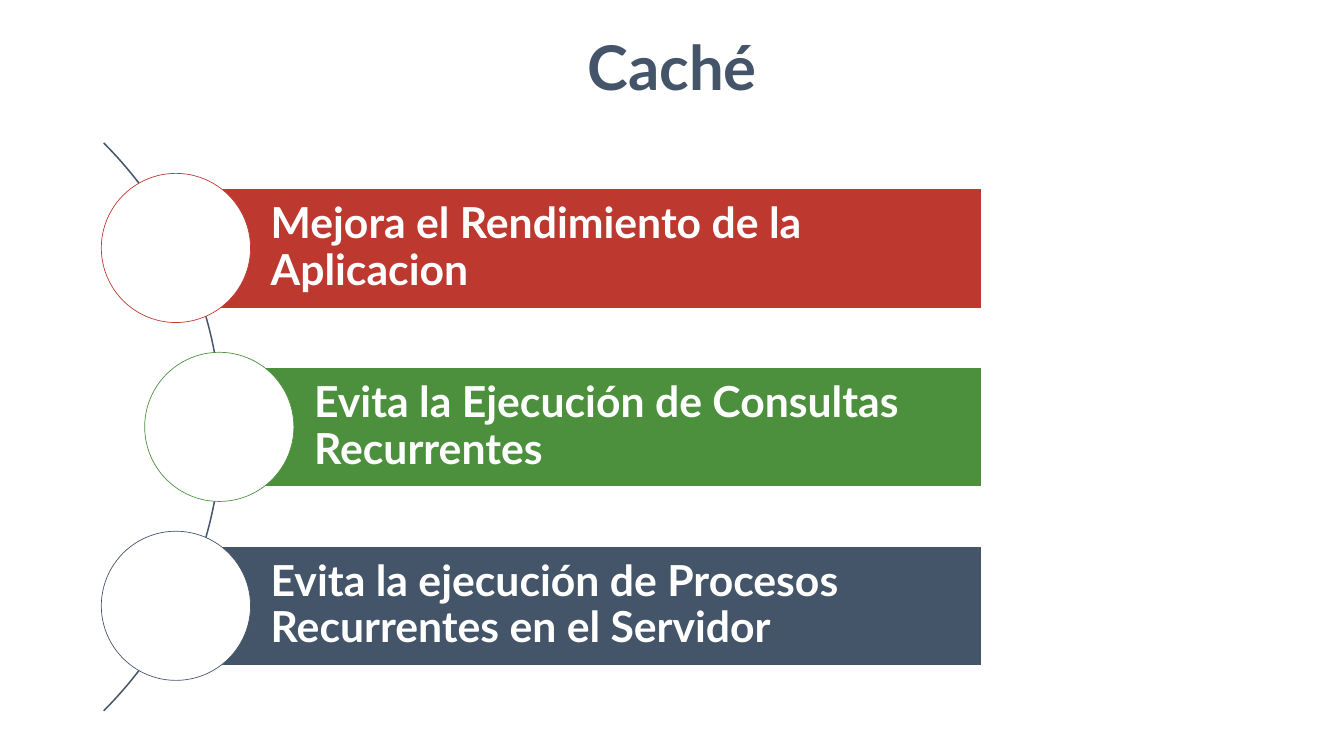
from dataclasses import dataclass

from pptx import Presentation
from pptx import util as u
from pptx.dml.color import RGBColor
from pptx.enum import shapes, text

PX = 9144  # EMU per px: 100 px to the inch


@dataclass(frozen=True)
class Theme:
    font: str = "Lato"
    slate: str = "445469"
    red: str = "BD392F"
    green: str = "4C903D"
    white: str = "FFFFFF"
    title_pt: int = 88
    bar_pt: int = 61
    line_pt: int = 1


@dataclass(frozen=True)
class Benefit:
    label: str
    color: str
    left: int


THEME = Theme()
BENEFITS = (
    Benefit("Mejora el Rendimiento de la Aplicacion", THEME.red, 349),
    Benefit("Evita la Ejecución de Consultas Recurrentes", THEME.green, 435),
    Benefit("Evita la ejecución de Procesos Recurrentes en el Servidor", THEME.slate, 349),
)
BAR_RIGHT, BAR_HEIGHT = 1946, 237
CIRCLE = 296
FIRST_CENTER, STEP = 492, 355
ARC_LEFT, ARC_TOP, ARC_SIZE = -1154, 50, 1594


def px(n: int) -> u.Emu:
    return u.Emu(n * PX)


def add_shape(s, kind, left: int, top: int, width: int, height: int,
              line: str, fill: str | None = None):
    sp = s.shapes.add_shape(kind, px(left), px(top), px(width), px(height))
    sp.shadow.inherit = False
    if fill is None:
        sp.fill.background()
    else:
        sp.fill.solid()
        sp.fill.fore_color.rgb = RGBColor.from_string(fill)
    sp.line.color.rgb = RGBColor.from_string(line)
    sp.line.width = u.Pt(THEME.line_pt)
    return sp


def write(tf, words: str, size: int, color: str, align):
    tf.word_wrap = True
    p = tf.paragraphs[0]
    p.text = words
    p.alignment = align
    p.font.name = THEME.font
    p.font.size = u.Pt(size)
    p.font.bold = True
    p.font.color.rgb = RGBColor.from_string(color)
    return p


def add_title(s, words: str) -> None:
    sp = s.shapes.add_textbox(px(657), px(53), px(1352), px(158))
    write(sp.text_frame, words, THEME.title_pt, THEME.slate, text.PP_ALIGN.CENTER)


def add_arc(s) -> None:
    """Draw the thin curve that runs behind the circles."""
    sp = add_shape(s, shapes.MSO_SHAPE.BLOCK_ARC, ARC_LEFT, ARC_TOP,
                   ARC_SIZE, ARC_SIZE, THEME.slate)
    for i, value in enumerate((189, 27, 0.001)):
        sp.adjustments[i] = value


def add_benefit(s, benefit: Benefit, center: int) -> None:
    """Draw a labelled bar with a circle centred on its left edge."""
    bar = add_shape(s, shapes.MSO_SHAPE.RECTANGLE, benefit.left, center - BAR_HEIGHT // 2,
                    BAR_RIGHT - benefit.left, BAR_HEIGHT, THEME.white, benefit.color)
    tf = bar.text_frame
    tf.margin_left = px(188)
    tf.margin_top = tf.margin_right = tf.margin_bottom = px(17)
    tf.vertical_anchor = text.MSO_ANCHOR.MIDDLE
    p = write(tf, benefit.label, THEME.bar_pt, THEME.white, text.PP_ALIGN.LEFT)
    p.line_spacing = 0.9
    add_shape(s, shapes.MSO_SHAPE.OVAL, benefit.left - CIRCLE // 2, center - CIRCLE // 2,
              CIRCLE, CIRCLE, benefit.color, THEME.white)


def main() -> None:
    prs = Presentation()
    prs.slide_width, prs.slide_height = px(2666), px(1500)
    s = prs.slides.add_slide(prs.slide_layouts[6])
    add_title(s, "Caché")
    add_arc(s)
    for i, benefit in enumerate(BENEFITS):
        add_benefit(s, benefit, FIRST_CENTER + i * STEP)
    prs.save("out.pptx")


if __name__ == "__main__":
    main()
